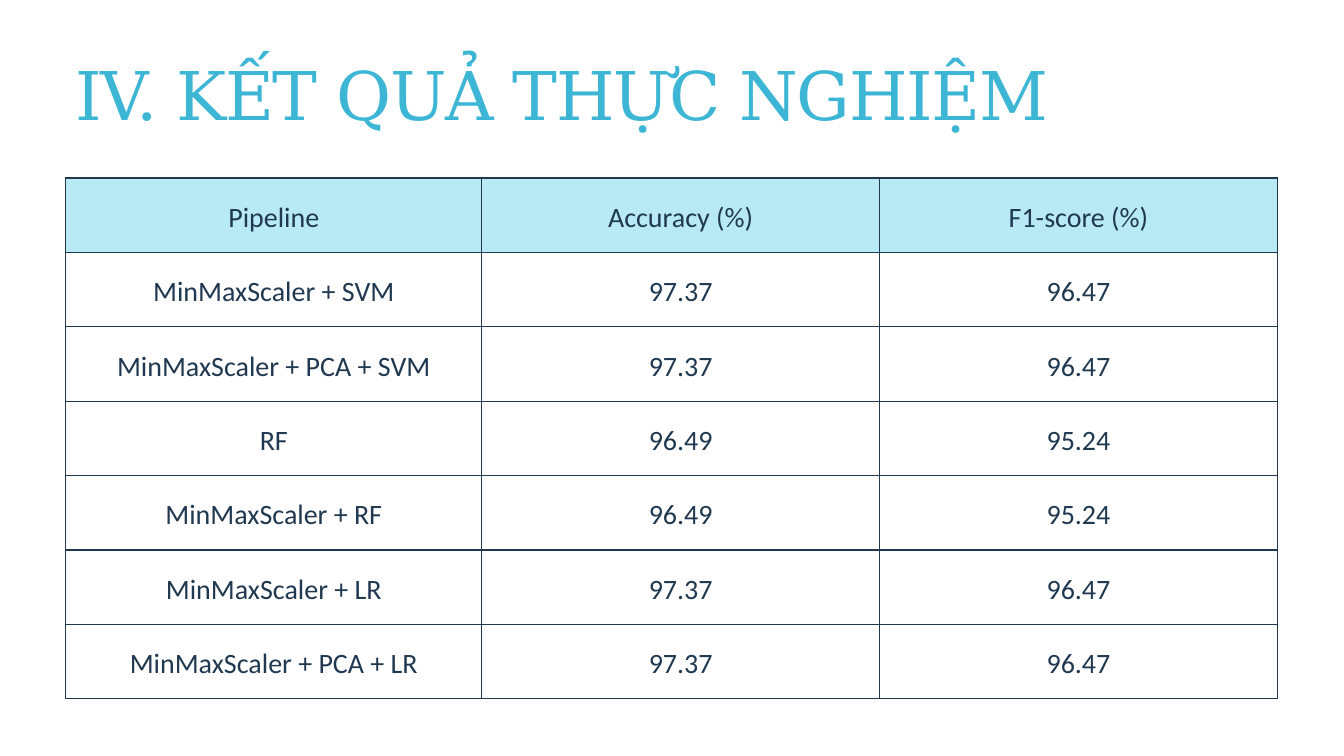
"""Build the experimental results slide with its pipeline comparison table."""
import pptx
import pptx.dml.color
import pptx.enum.text
import pptx.oxml
import pptx.oxml.ns
import pptx.util

Inches, Pt = pptx.util.Inches, pptx.util.Pt
ALIGN = pptx.enum.text.PP_ALIGN
ANCHOR = pptx.enum.text.MSO_ANCHOR

TITLE = "IV. KẾT QUẢ THỰC NGHIỆM"
HEADER = ("Pipeline", "Accuracy (%)", "F1-score (%)")
RESULTS = [
    ("MinMaxScaler + SVM", "97.37", "96.47"),
    ("MinMaxScaler + PCA + SVM", "97.37", "96.47"),
    ("RF", "96.49", "95.24"),
    ("MinMaxScaler + RF", "96.49", "95.24"),
    ("MinMaxScaler + LR", "97.37", "96.47"),
    ("MinMaxScaler + PCA + LR", "97.37", "96.47"),
]
COLORS = {"title": "3DB6D6", "ink": "203850", "header": "B8EAF6", "body": "FFFFFF"}
COL_WIDTHS = (6.19, 5.92, 5.92)
TABLE_LEFT, TABLE_TOP, TABLE_HEIGHT = 0.98, 2.65, 7.75
CELL_MARGIN = 0.21
BORDER_PT = 1.5


def rgb(name):
    return pptx.dml.color.RGBColor.from_string(COLORS[name])


def write(tf, text, font, size, color, align, leading, spacing=None):
    p = tf.paragraphs[0]
    p.alignment = align
    p.line_spacing = Pt(leading)
    r = p.add_run()
    r.text = text
    r.font.name, r.font.size = font, Pt(size)
    r.font.bold = False
    r.font.color.rgb = rgb(color)
    if spacing is not None:
        r.font._element.set("spc", str(round(spacing * 100)))


def set_borders(cell):
    tc_pr = cell._tc.get_or_add_tcPr()
    for i, side in enumerate("LRTB"):
        ln = pptx.oxml.parse_xml(
            f'<a:ln{side} {pptx.oxml.ns.nsdecls("a")} w="{Pt(BORDER_PT)}">'
            f'<a:solidFill><a:srgbClr val="{COLORS["ink"]}"/></a:solidFill>'
            f'<a:prstDash val="solid"/></a:ln{side}>'
        )
        tc_pr.insert(i, ln)


def add_title(slide):
    sp = slide.shapes.add_textbox(Inches(1.12), Inches(0.79), Inches(16.65), Inches(1.23))
    tf = sp.text_frame
    tf.word_wrap = True
    tf.auto_size = pptx.enum.text.MSO_AUTO_SIZE.SHAPE_TO_FIT_TEXT
    tf.margin_left = tf.margin_right = tf.margin_top = tf.margin_bottom = 0
    write(tf, TITLE, font="DejaVu Serif", size=72, color="title",
          align=ALIGN.JUSTIFY, leading=86.4, spacing=-1.4)


def add_results(slide):
    rows = [HEADER, *RESULTS]
    table = slide.shapes.add_table(
        len(rows), len(HEADER), Inches(TABLE_LEFT), Inches(TABLE_TOP),
        Inches(sum(COL_WIDTHS)), Inches(TABLE_HEIGHT)).table
    table.horz_banding = False
    for column, width in zip(table.columns, COL_WIDTHS):
        column.width = Inches(width)
    for i, values in enumerate(rows):
        table.rows[i].height = Inches(TABLE_HEIGHT / len(rows))
        for j, text in enumerate(values):
            cell = table.cell(i, j)
            cell.vertical_anchor = ANCHOR.MIDDLE
            cell.margin_left = cell.margin_right = Inches(CELL_MARGIN)
            cell.margin_top = cell.margin_bottom = Inches(CELL_MARGIN)
            cell.fill.solid()
            cell.fill.fore_color.rgb = rgb("body" if i else "header")
            set_borders(cell)
            write(cell.text_frame, text, font="Calibri", size=30, color="ink",
                  align=ALIGN.CENTER, leading=42)


def main():
    prs = pptx.Presentation()
    prs.slide_width, prs.slide_height = Inches(20), Inches(11.25)
    slide = prs.slides.add_slide(prs.slide_layouts[6])
    add_title(slide)
    add_results(slide)
    prs.save("out.pptx")


if __name__ == "__main__":
    main()
